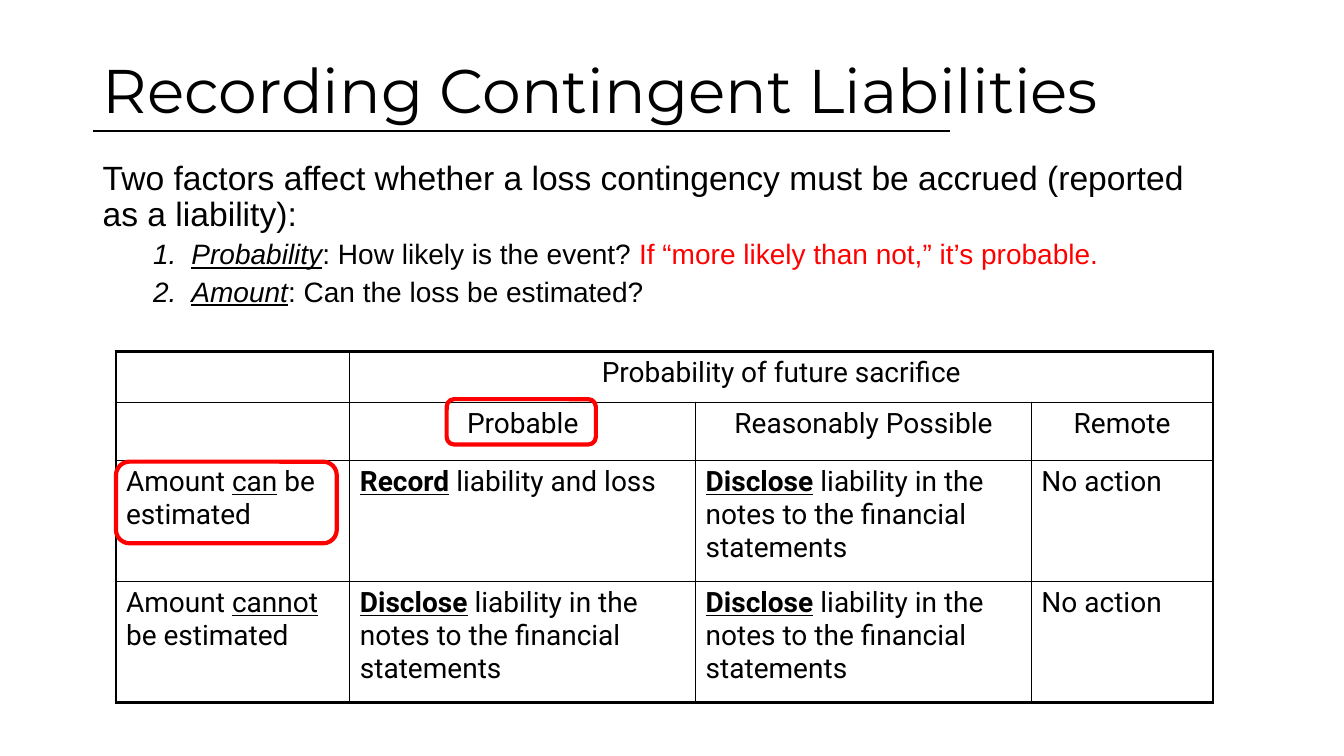
import pptx
import pptx.dml.color
import pptx.enum.shapes
import pptx.enum.text
import pptx.oxml
import pptx.oxml.ns
import pptx.util
from lxml import etree
from pptx.util import Inches

COLORS = {"ink": "000000", "paper": "FFFFFF", "accent": "FF0000"}
COLUMN_WIDTHS = [2.32, 3.43, 3.33, 1.8]
ROW_HEIGHTS = [0.5, 0.58, 1.2, 1.2]
THIN, THICK = 1, 2.25

DISCLOSE = [("Disclose", "bu"), (" liability in the notes to the financial statements", "")]
NO_ACTION = [("No action", "")]
TREATMENTS = [
    [[], [("Probability of future sacrifice", "")], [], []],
    [[], [("Probable", "")], [("Reasonably Possible", "")], [("Remote", "")]],
    [
        [("Amount ", ""), ("can", "u"), (" be estimated", "")],
        [("Record", "bu"), (" liability and loss", "")],
        DISCLOSE,
        NO_ACTION,
    ],
    [
        [("Amount ", ""), ("cannot", "u"), (" be estimated", "")],
        DISCLOSE,
        DISCLOSE,
        NO_ACTION,
    ],
]
FACTORS = [
    [
        ("Probability", "iu"),
        (": How likely is the event? ", ""),
        ("If “more likely than not,” it’s probable.", "r"),
    ],
    [("Amount", "iu"), (": Can the loss be estimated?", "")],
]


def rgb(name):
    return pptx.dml.color.RGBColor.from_string(COLORS[name])


def add_spans(para, spans, font, size):
    for text, style in spans:
        span = para.add_run()
        span.text = text
        span.font.name = font
        span.font.size = pptx.util.Pt(size)
        span.font.bold = "b" in style
        span.font.italic = "i" in style
        span.font.underline = "u" in style
        span.font.color.rgb = rgb("accent" if "r" in style else "ink")


def add_text_box(page, left, top, width, height, anchor):
    box = page.shapes.add_textbox(Inches(left), Inches(top), Inches(width), Inches(height))
    box.text_frame.word_wrap = True
    box.text_frame.vertical_anchor = anchor
    return box


def add_title(page):
    rule = page.shapes.add_connector(
        pptx.enum.shapes.MSO_CONNECTOR.STRAIGHT,
        Inches(0.92), Inches(1.3), Inches(9.42), Inches(1.3),
    )
    rule.line.color.rgb = rgb("ink")
    rule.line.width = pptx.util.Pt(1)
    etree.SubElement(rule._element.spPr, pptx.oxml.ns.qn("a:effectLst"))
    box = add_text_box(page, 0.92, 0.2, 11.5, 1.45, pptx.enum.text.MSO_ANCHOR.MIDDLE)
    para = box.text_frame.paragraphs[0]
    para.line_spacing = 0.9
    add_spans(para, [("Recording Contingent Liabilities", "")], "Montserrat", 44)


def number_paragraph(para):
    properties = para._p.get_or_add_pPr()
    properties.set("marL", str(Inches(0.88)))
    properties.set("indent", str(Inches(-0.38)))
    numbering = etree.SubElement(properties, pptx.oxml.ns.qn("a:buAutoNum"))
    numbering.set("type", "arabicPeriod")


def add_factors(page):
    box = add_text_box(page, 0.92, 1.55, 11.11, 1.5, pptx.enum.text.MSO_ANCHOR.TOP)
    box.fill.solid()
    box.fill.fore_color.rgb = rgb("paper")
    intro = box.text_frame.paragraphs[0]
    intro.line_spacing = 0.9
    question = "Two factors affect whether a loss contingency must be accrued (reported as a liability):"
    add_spans(intro, [(question, "")], "Arial", 24)
    for spans in FACTORS:
        para = box.text_frame.add_paragraph()
        para.level = 1
        para.line_spacing = 0.9
        para.space_before = pptx.util.Pt(5)
        number_paragraph(para)
        add_spans(para, spans, "Arial", 20)


def set_borders(cell, widths):
    properties = cell._tc.get_or_add_tcPr()
    for side, width in widths.items():
        border = etree.SubElement(properties, pptx.oxml.ns.qn(f"a:ln{side}"))
        border.set("w", str(pptx.util.Pt(width)))
        fill = etree.SubElement(border, pptx.oxml.ns.qn("a:solidFill"))
        etree.SubElement(fill, pptx.oxml.ns.qn("a:srgbClr")).set("val", COLORS["ink"])


def fill_cell(cell, row, column, spans):
    last_column = column + cell.span_width - 1 if cell.is_merge_origin else column
    edges = {
        "L": column == 0,
        "R": last_column == len(COLUMN_WIDTHS) - 1,
        "T": row == 0,
        "B": row == len(ROW_HEIGHTS) - 1,
    }
    set_borders(cell, {side: THICK if outer else THIN for side, outer in edges.items()})
    cell.fill.background()
    para = cell.text_frame.paragraphs[0]
    if row < 2:
        para.alignment = pptx.enum.text.PP_ALIGN.CENTER
    add_spans(para, spans, "Roboto", 20)


def add_treatment_table(page):
    frame = page.shapes.add_table(
        len(ROW_HEIGHTS), len(COLUMN_WIDTHS), Inches(1.15), Inches(3.49),
        Inches(sum(COLUMN_WIDTHS)), Inches(sum(ROW_HEIGHTS)),
    )
    table = frame.table
    table.first_row = False
    table.horz_banding = False
    for column, width in zip(table.columns, COLUMN_WIDTHS):
        column.width = Inches(width)
    for row, height in zip(table.rows, ROW_HEIGHTS):
        row.height = Inches(height)
    table.cell(0, 1).merge(table.cell(0, 3))
    for row, treatments in enumerate(TREATMENTS):
        for column, spans in enumerate(treatments):
            cell = table.cell(row, column)
            if not cell.is_spanned:
                fill_cell(cell, row, column, spans)


def add_highlight(page, left, top, width, height):
    shape = page.shapes.add_shape(
        pptx.enum.shapes.MSO_SHAPE.ROUNDED_RECTANGLE,
        Inches(left), Inches(top), Inches(width), Inches(height),
    )
    shape.shadow.inherit = False
    shape.fill.background()
    shape.line.color.rgb = rgb("accent")
    shape.line.width = pptx.util.Pt(3)


def main():
    deck = pptx.Presentation()
    deck.slide_width = Inches(13.33)
    deck.slide_height = Inches(7.5)
    page = deck.slides.add_slide(deck.slide_layouts[6])
    add_title(page)
    add_factors(page)
    add_treatment_table(page)
    add_highlight(page, 4.43, 3.96, 1.48, 0.45)
    add_highlight(page, 1.15, 4.58, 2.19, 0.81)
    deck.save("out.pptx")


if __name__ == "__main__":
    main()
